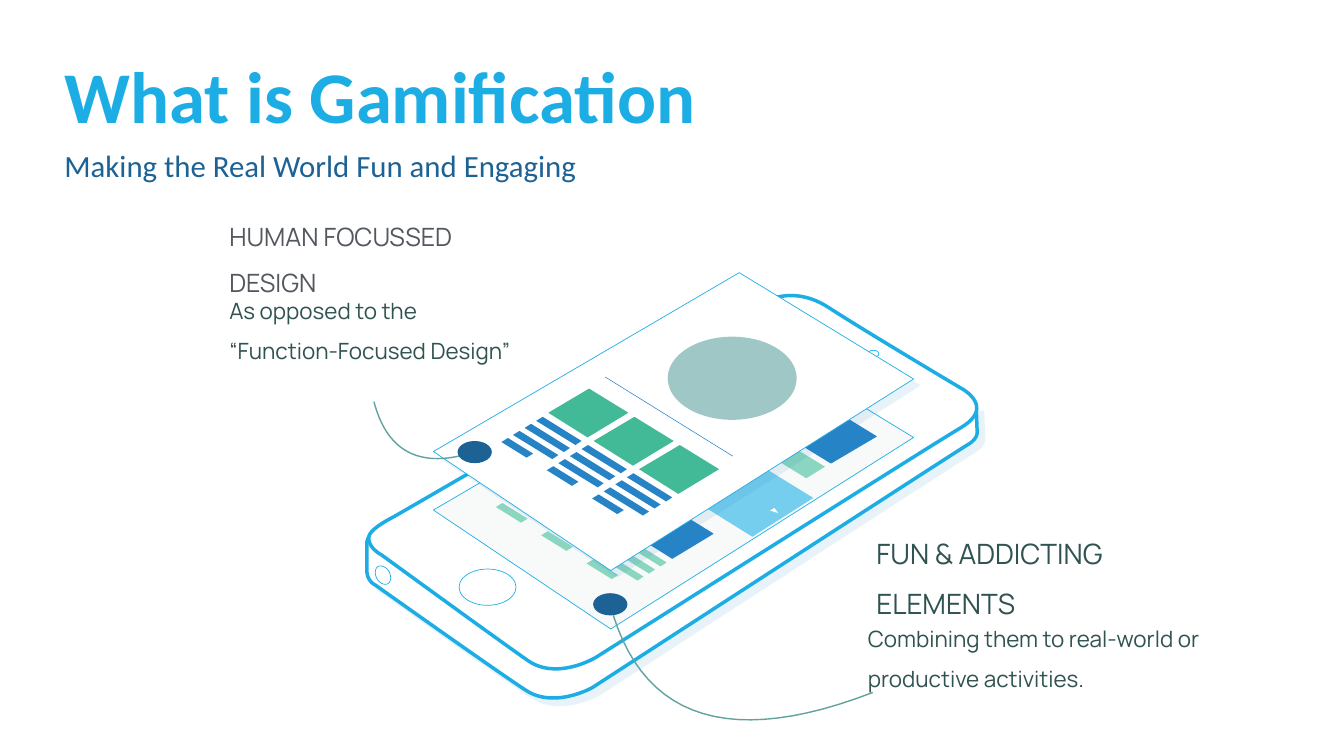
"""Build the slide that explains gamification with an isometric phone and two callouts."""
from dataclasses import dataclass
from typing import Optional

from lxml.etree import SubElement
from pptx import Presentation
from pptx.dml.color import RGBColor
from pptx.enum.shapes import MSO_CONNECTOR, MSO_SHAPE
from pptx.enum.text import MSO_ANCHOR, MSO_AUTO_SIZE, PP_ALIGN
from pptx.oxml.ns import qn
from pptx.util import Cm, Pt


@dataclass(frozen=True)
class Theme:
    cyan: str = "1CADE4"
    navy: str = "1C6294"
    blue: str = "2683C6"
    rule: str = "217FC4"
    sky: str = "76CEEF"
    mint: str = "8BD6C0"
    green: str = "42BA97"
    sage: str = "9FC7C5"
    rose: str = "B3898A"
    teal: str = "62A39F"
    screen: str = "DFE3E5"
    white: str = "FFFFFF"
    pine: str = "305250"
    gray: str = "53585F"
    heading_font: str = "Calibri"
    body_font: str = "Manrope"
    title_size: int = 104
    subtitle_size: int = 44
    label_size: int = 40
    small_label_size: int = 36
    detail_size: int = 32


THEME = Theme()


@dataclass(frozen=True)
class Style:
    fill: Optional[str] = None
    line: Optional[str] = None
    width: float = 1
    opacity: int = 100
    shadow: bool = False


@dataclass(frozen=True)
class Outline:
    start: tuple
    segments: tuple
    style: Style
    closed: bool = True


@dataclass(frozen=True)
class Oval:
    box: tuple
    style: Style


@dataclass(frozen=True)
class TextBlock:
    box: tuple
    text: str
    size: int
    color: str
    font: str = THEME.body_font
    bold: bool = False
    spacing: float = 1.5
    insets: tuple = (0, 0, 0, 0)
    anchor: MSO_ANCHOR = MSO_ANCHOR.TOP


EDGE = Style(THEME.white, THEME.cyan, 5)
DETAIL = Style(THEME.white, THEME.cyan)
DOT = Style(THEME.navy)
CURVE = Style(line=THEME.teal, width=2)

PHONE = (
    Outline((19.37, 8.02), (
        (19.39, 8.54), (19.39, 8.54, 19.43, 8.69, 19.21, 8.82),
        (19, 8.94, 11.76, 13.64, 11.76, 13.64), (11.76, 13.64, 11.01, 14.07, 10.44, 13.7),
        (9.87, 13.33, 7.45, 11.61, 7.45, 11.61), (7.45, 11.61, 7.28, 11.54, 7.28, 11.31),
        (7.28, 11.09, 7.28, 10.79, 7.28, 10.79), (7.28, 10.79, 7.25, 10.55, 7.71, 10.32),
    ), Style(THEME.white, THEME.cyan, 5, shadow=True), closed=False),
    Outline((7.33, 10.62), (
        (7.38, 10.47, 7.82, 10.25, 7.82, 10.25), (8.34, 9.95), (15.12, 6.02),
        (15.12, 6.02, 15.7, 5.62, 16.44, 6.1), (17.18, 6.58, 19.05, 7.69, 19.05, 7.69),
        (19.05, 7.69, 19.79, 8.06, 19.06, 8.49), (18.34, 8.92, 11.83, 13.04, 11.83, 13.04),
        (11.83, 13.04, 11.06, 13.51, 10.48, 13.11), (9.89, 12.7, 7.57, 11.01, 7.57, 11.01),
        (7.57, 11.01, 7.26, 10.85, 7.33, 10.62),
    ), EDGE),
    Outline((7.5, 11.24), (
        (7.57, 11.21, 7.67, 11.25, 7.72, 11.34), (7.77, 11.43, 7.76, 11.54, 7.7, 11.58),
        (7.63, 11.62, 7.53, 11.57, 7.48, 11.48), (7.43, 11.39, 7.44, 11.28, 7.5, 11.24),
    ), DETAIL),
    Outline((16.68, 6.97), (
        (16.65, 7, 16.65, 7.03, 16.68, 7.05), (17.28, 7.4),
        (17.31, 7.41, 17.35, 7.4, 17.37, 7.38), (17.39, 7.35, 17.39, 7.32, 17.36, 7.3),
        (16.76, 6.95), (16.74, 6.94, 16.7, 6.95, 16.68, 6.97),
    ), DETAIL),
)
PHONE_OVALS = (Oval((17.22, 6.95, 0.22, 0.14), DETAIL), Oval((9.11, 11.29, 1.13, 0.72), DETAIL))
SCREEN_BLOCKS = (
    Outline((14.78, 7.06), ((17.39, 8.66), (16.49, 9.19), (13.88, 7.59)), Style(THEME.blue, THEME.blue)),
    Outline((13.76, 7.66), ((16.37, 9.26), (16, 9.49), (13.39, 7.89)), Style(THEME.mint)),
    Outline((12.71, 7.77), ((16.14, 9.88), (14.93, 10.65), (11.48, 8.5)), Style(THEME.sky)),
    Outline((15.44, 10.18), ((15.37, 10.08), (15.28, 10.13)), Style(THEME.white)),
)
CARD = ((0, 3.55), (6.07, 0), (9.53, 2.11), (3.52, 5.91))
TILE = ((0.81, 0), (1.59, 0.48), (0.78, 0.97), (0, 0.48))
LONG_BAR = ((0.13, 0), (0.9, 0.48), (0.78, 0.56), (0, 0.08))
SHORT_BAR = ((0.13, 0), (0.63, 0.31), (0.5, 0.39), (0, 0.08))
COLUMN_STEP = (0.9, 0.56)
BAR_STEP = (-0.23, 0.14)

CALLOUT_CURVES = (
    Outline((12.17, 12.21), ((12.83, 14.3, 14.55, 14.81, 17.32, 13.74),), CURVE, closed=False),
    Outline((9.11, 9.05), ((8.22, 9.24, 7.66, 8.88, 7.42, 7.97),), CURVE, closed=False),
)
CALLOUT_DOTS = (Oval((11.77, 11.77, 0.68, 0.44), DOT), Oval((9.08, 8.75, 0.68, 0.44), DOT))

TITLE = TextBlock((1.18, 0.79, 24.17, 1.84), "What is Gamification", THEME.title_size, THEME.cyan,
                  THEME.heading_font, True, 1.06, (0.1, 0.28, 0.1, 0.05), MSO_ANCHOR.MIDDLE)
TEXTS = (
    TextBlock((1.18, 2.6, 24.17, 0.98), "Making the Real World Fun and Engaging", THEME.subtitle_size,
              THEME.navy, THEME.heading_font, insets=(0.1, 0.05, 0.1, 0.05), anchor=MSO_ANCHOR.MIDDLE),
    TextBlock((4.55, 4.1, 5.85, 1.02), "HUMAN FOCUSSED DESIGN", THEME.small_label_size, THEME.gray),
    TextBlock((4.55, 5.63, 5.59, 2.16), "As opposed to the “Function-Focused Design”",
              THEME.detail_size, THEME.pine),
    TextBlock((17.39, 10.31, 7.28, 1.02), "FUN & ADDICTING ELEMENTS", THEME.label_size, THEME.pine),
    TextBlock((17.22, 12.14, 7.28, 1.24), "Combining them to real-world or productive activities.",
              THEME.detail_size, THEME.pine),
)


def inches(*values: float) -> list:
    return [Cm(value * 2.54) for value in values]


def apply_style(shape, style: Style) -> None:
    shape.shadow.inherit = False
    if style.fill:
        shape.fill.solid()
        shape.fill.fore_color.rgb = RGBColor.from_string(style.fill)
    else:
        shape.fill.background()
    if style.opacity < 100:
        color = shape.fill._xPr.find(qn("a:solidFill"))[0]
        SubElement(color, qn("a:alpha"), val=str(style.opacity * 1000))
    if style.line:
        shape.line.color.rgb = RGBColor.from_string(style.line)
        shape.line.width = Pt(style.width)
    else:
        shape.line.fill.background()
    if style.shadow:
        effects = shape._element.spPr.find(qn("a:effectLst"))
        shadow = SubElement(effects, qn("a:outerShdw"), blurRad="0", dist=str(Pt(13)),
                            dir=str(45 * 60000), algn="ctr", rotWithShape="0")
        color = SubElement(shadow, qn("a:srgbClr"), val=THEME.blue)
        SubElement(color, qn("a:alpha"), val="10000")


def curve_points(start: tuple, segment: tuple, steps: int = 24) -> list:
    controls = (start, segment[:2], segment[2:4], segment[4:])
    points = []
    for step in range(1, steps + 1):
        t = step / steps
        weights = ((1 - t) ** 3, 3 * t * (1 - t) ** 2, 3 * t * t * (1 - t), t ** 3)
        points.append(tuple(sum(w * c[axis] for w, c in zip(weights, controls)) for axis in (0, 1)))
    return points


def draw_outline(slide, outline: Outline) -> None:
    points = [outline.start]
    for segment in outline.segments:
        points += [segment] if len(segment) == 2 else curve_points(points[-1], segment)
    builder = slide.shapes.build_freeform(*inches(*points[0]))
    builder.add_line_segments([inches(*point) for point in points[1:]], close=outline.closed)
    apply_style(builder.convert_to_shape(), outline.style)


def draw_polygon(slide, corners: tuple, left: float, top: float, style: Style) -> None:
    placed = [(left + x, top + y) for x, y in corners]
    draw_outline(slide, Outline(placed[0], tuple(placed[1:]), style))


def draw_oval(slide, oval: Oval) -> None:
    apply_style(slide.shapes.add_shape(MSO_SHAPE.OVAL, *inches(*oval.box)), oval.style)


def draw_tiles(slide, left: float, top: float, styles: tuple) -> None:
    for column, style in enumerate(styles):
        draw_polygon(slide, TILE, left + column * COLUMN_STEP[0], top + column * COLUMN_STEP[1], style)


def draw_bars(slide, left: float, top: float, style: Style) -> None:
    for column in range(3):
        for row, bar in enumerate((LONG_BAR, LONG_BAR, LONG_BAR, SHORT_BAR)):
            draw_polygon(slide, bar, left + column * COLUMN_STEP[0] + row * BAR_STEP[0],
                         top + column * COLUMN_STEP[1] + row * BAR_STEP[1], style)


def draw_rule(slide) -> None:
    rule = slide.shapes.add_connector(MSO_CONNECTOR.STRAIGHT, *inches(12.01, 7.48, 14.54, 9.05))
    rule.line.color.rgb = RGBColor.from_string(THEME.rule)
    rule.line.width = Pt(0.75)
    SubElement(rule._element.spPr, qn("a:effectLst"))


def write_text(shape, block: TextBlock) -> None:
    shape.left, shape.top, shape.width, shape.height = inches(*block.box)
    frame = shape.text_frame
    frame.text = block.text
    frame.word_wrap = True
    frame.auto_size = MSO_AUTO_SIZE.NONE
    frame.vertical_anchor = block.anchor
    frame.margin_left, frame.margin_top, frame.margin_right, frame.margin_bottom = inches(*block.insets)
    paragraph = frame.paragraphs[0]
    paragraph.alignment = PP_ALIGN.LEFT
    paragraph.line_spacing = block.spacing
    font = paragraph.runs[0].font
    font.name, font.size, font.bold = block.font, Pt(block.size), block.bold
    font.color.rgb = RGBColor.from_string(block.color)


def draw_phone(slide) -> None:
    for outline in PHONE:
        draw_outline(slide, outline)
    for oval in PHONE_OVALS:
        draw_oval(slide, oval)
    draw_polygon(slide, CARD, 8.6, 6.57, Style(THEME.screen, THEME.cyan, opacity=21))
    for block in SCREEN_BLOCKS:
        draw_outline(slide, block)
    draw_tiles(slide, 10.76, 8.99, tuple(Style(c, THEME.blue) for c in (THEME.rose, THEME.rose, THEME.blue)))
    draw_bars(slide, 10.53, 9.56, Style(THEME.mint))


def draw_floating_card(slide) -> None:
    draw_polygon(slide, CARD, 8.6, 5.41, Style(THEME.white, THEME.cyan, shadow=True))
    draw_oval(slide, Oval((13.25, 6.68, 2.56, 1.65), Style(THEME.sage)))
    draw_tiles(slide, 10.88, 7.71, (Style(THEME.green),) * 3)
    draw_bars(slide, 10.64, 8.27, Style(THEME.blue))
    draw_rule(slide)


def main() -> None:
    presentation = Presentation()
    presentation.slide_width, presentation.slide_height = inches(26.67, 15)
    slide = presentation.slides.add_slide(presentation.slide_layouts[5])
    write_text(slide.shapes.title, TITLE)
    draw_phone(slide)
    draw_floating_card(slide)
    for curve in CALLOUT_CURVES:
        draw_outline(slide, curve)
    for dot in CALLOUT_DOTS:
        draw_oval(slide, dot)
    for block in TEXTS:
        write_text(slide.shapes.add_textbox(*inches(*block.box)), block)
    presentation.save("out.pptx")


if __name__ == "__main__":
    main()
